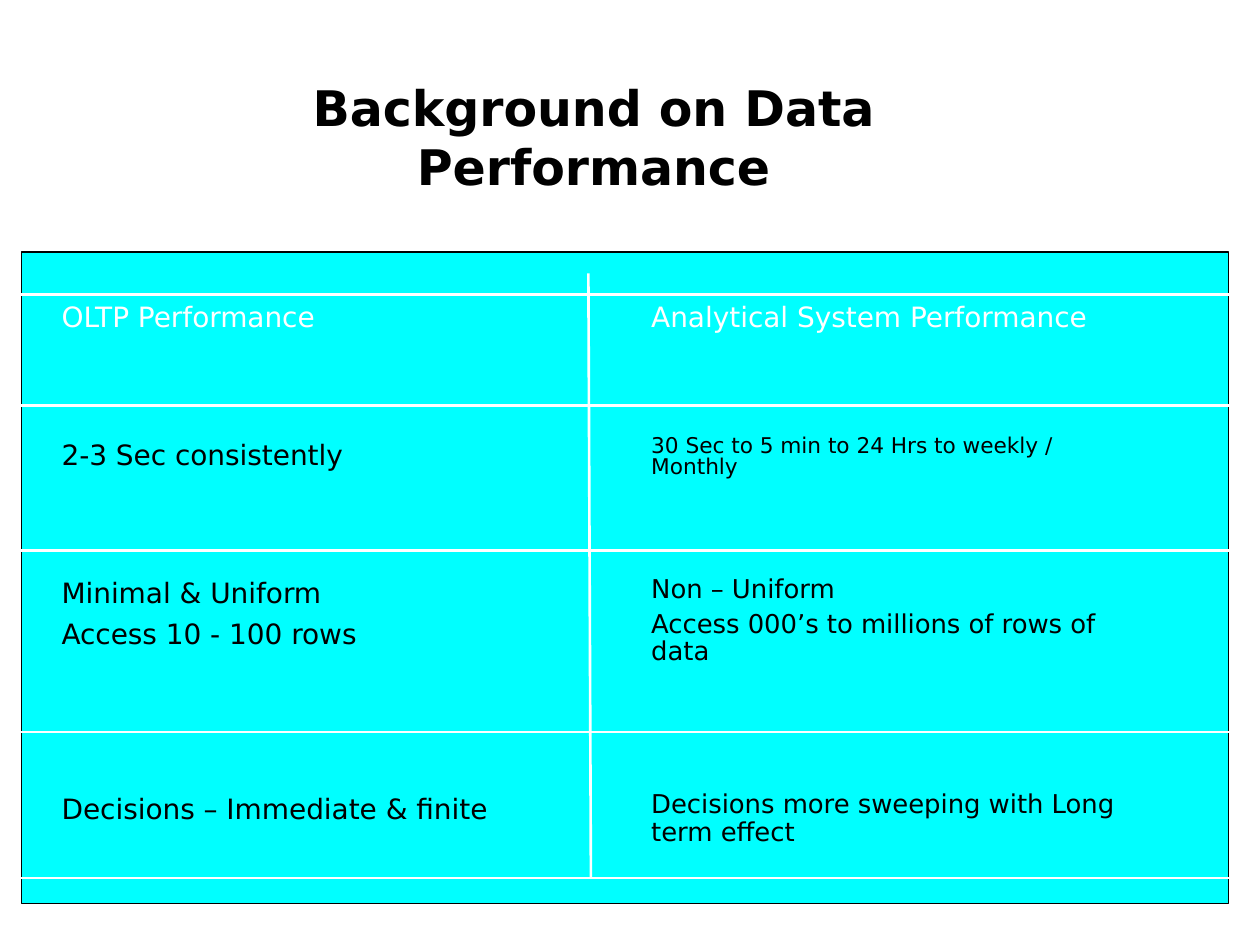
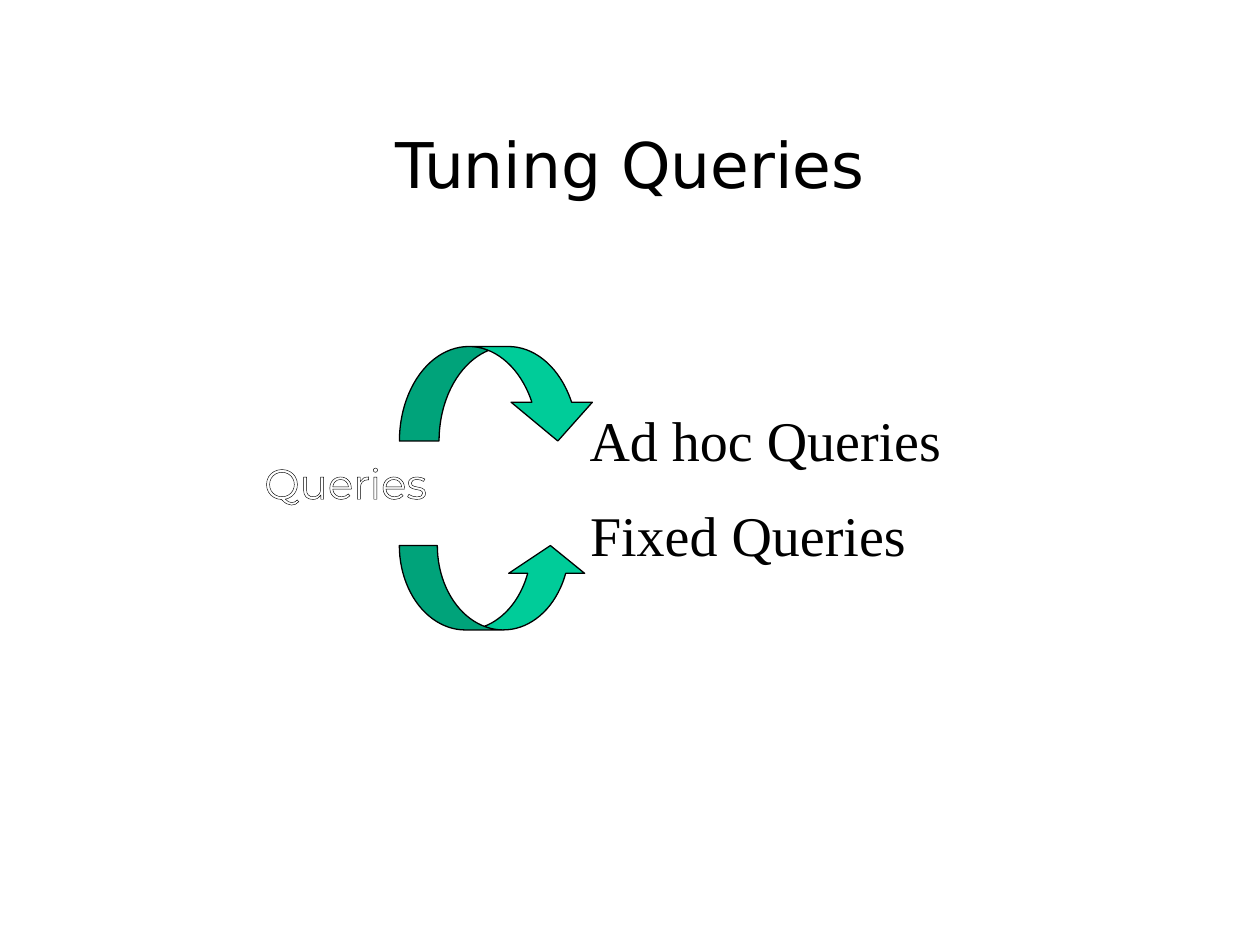
from dataclasses import dataclass

from lxml import etree
from pptx import Presentation
from pptx.dml.color import RGBColor
from pptx.enum.shapes import MSO_CONNECTOR, MSO_SHAPE
from pptx.enum.text import MSO_ANCHOR, MSO_AUTO_SIZE, PP_ALIGN
from pptx.oxml.ns import qn
from pptx.shapes.autoshape import Shape
from pptx.slide import Slide
from pptx.util import Inches, Pt

BLACK = RGBColor(0x00, 0x00, 0x00)
WHITE = RGBColor(0xFF, 0xFF, 0xFF)
CYAN = RGBColor(0x00, 0xFF, 0xFF)
GREEN = RGBColor(0x00, 0xCC, 0x99)

SANS = "DejaVu Sans"
SERIF = "Times New Roman"
DISPLAY = "Montserrat"

RECTANGLE = MSO_SHAPE.RECTANGLE
ARROW_DOWN = MSO_SHAPE.CURVED_DOWN_ARROW
ARROW_UP = MSO_SHAPE.CURVED_UP_ARROW
STRAIGHT = MSO_CONNECTOR.STRAIGHT
LEFT = PP_ALIGN.LEFT
CENTER = PP_ALIGN.CENTER
RIGHT = PP_ALIGN.RIGHT
MIDDLE = MSO_ANCHOR.MIDDLE
NO_FIT = MSO_AUTO_SIZE.NONE

TITLE_ONLY_LAYOUT = 5
PAGE_WIDTH = 10
COLUMN_LEFTS = (0.39, 5.07)
COLUMN_WIDTH = 4.01
RULE_HEIGHTS = (2.34, 3.22, 4.37, 5.81, 6.97)


@dataclass(frozen=True)
class Area:
    left: float
    top: float
    width: float
    height: float

    def lengths(self) -> tuple[int, int, int, int]:
        return (Inches(self.left), Inches(self.top),
                Inches(self.width), Inches(self.height))


@dataclass(frozen=True)
class TextStyle:
    size: float
    font: str = SANS
    color: RGBColor = BLACK
    bold: bool = False
    align: PP_ALIGN = LEFT
    line_spacing: float = 1.0


@dataclass(frozen=True)
class Cell:
    text: str
    style: TextStyle


@dataclass(frozen=True)
class ComparisonRow:
    top: float
    height: float
    cells: tuple[Cell, Cell]


@dataclass(frozen=True)
class CurvedArrow:
    preset: MSO_SHAPE
    area: Area
    adjustments: tuple[float, float, float]


HEADING = TextStyle(16, color=WHITE)
REGULAR = TextStyle(16)
COMPACT = TextStyle(14.8, line_spacing=0.9)
TIGHT = TextStyle(12.4, line_spacing=0.8)
QUERY_KIND = TextStyle(32, font=SERIF, align=RIGHT)

ROWS = (
    ComparisonRow(2.33, 0.52, (
        Cell("OLTP Performance", HEADING),
        Cell("Analytical System Performance", HEADING))),
    ComparisonRow(3.42, 0.52, (
        Cell("2-3 Sec consistently", REGULAR),
        Cell("30 Sec to 5 min to 24 Hrs to weekly / Monthly", TIGHT))),
    ComparisonRow(4.52, 0.81, (
        Cell("Minimal & Uniform\nAccess 10 - 100 rows", REGULAR),
        Cell("Non – Uniform\nAccess 000’s to millions of rows of data", COMPACT))),
    ComparisonRow(6.23, 0.6, (
        Cell("Decisions – Immediate & finite", REGULAR),
        Cell("Decisions more sweeping with Long term effect", COMPACT))),
)

ARROWS = (
    CurvedArrow(ARROW_UP, Area(3.17, 4.33, 1.5, 0.67), (0.45, 0.9, 0.33)),
    CurvedArrow(ARROW_DOWN, Area(3.17, 2.75, 1.58, 0.75), (0.42, 0.86, 0.41)),
)


def write_text(box: Shape, text: str, style: TextStyle) -> None:
    box.text_frame.text = text
    for index, para in enumerate(box.text_frame.paragraphs):
        para.alignment = style.align
        para.line_spacing = style.line_spacing
        para.space_before = Pt(4 if index else 0)
        for span in para.runs:
            span.font.name = style.font
            span.font.size = Pt(style.size)
            span.font.bold = style.bold
            span.font.color.rgb = style.color


def add_page(deck: Presentation, title: str, area: Area, style: TextStyle) -> Slide:
    page = deck.slides.add_slide(deck.slide_layouts[TITLE_ONLY_LAYOUT])
    box = page.shapes.title
    box.left, box.top, box.width, box.height = area.lengths()
    box.text_frame.vertical_anchor = MIDDLE
    box.text_frame.auto_size = NO_FIT
    write_text(box, title, style)
    return page


def add_text(page: Slide, text: str, area: Area, style: TextStyle,
             wrap: bool = True) -> Shape:
    box = page.shapes.add_textbox(*area.lengths())
    box.text_frame.word_wrap = wrap
    write_text(box, text, style)
    return box


def add_filled_shape(page: Slide, preset: MSO_SHAPE, area: Area,
                     color: RGBColor) -> Shape:
    shape = page.shapes.add_shape(preset, *area.lengths())
    shape.shadow.inherit = False
    shape.fill.solid()
    shape.fill.fore_color.rgb = color
    shape.line.color.rgb = BLACK
    shape.line.width = Pt(0.75)
    return shape


def add_rule(page: Slide, start: tuple[float, float], end: tuple[float, float]) -> None:
    rule = page.shapes.add_connector(
        STRAIGHT, *(Inches(value) for value in start + end))
    rule.line.color.rgb = WHITE
    rule.line.width = Pt(1.5)
    etree.SubElement(rule.element.spPr, qn("a:effectLst"))


def outline_text(box: Shape, color: RGBColor) -> None:
    for para in box.text_frame.paragraphs:
        for span in para.runs:
            outline = etree.Element(qn("a:ln"), w=str(Pt(0.75)))
            fill = etree.SubElement(outline, qn("a:solidFill"))
            etree.SubElement(fill, qn("a:srgbClr"), val=str(color))
            span.font._element.insert(0, outline)


def build_performance_page(deck: Presentation) -> None:
    page = add_page(deck, "Background on Data Performance",
                    Area(0.92, 0.83, 7.58, 0.5),
                    TextStyle(28, bold=True, align=CENTER))
    add_filled_shape(page, RECTANGLE, Area(0.17, 2, 9.58, 5.17), CYAN)
    for row in ROWS:
        for left, cell in zip(COLUMN_LEFTS, row.cells):
            area = Area(left, row.top, COLUMN_WIDTH, row.height)
            add_text(page, cell.text, area, cell.style)
    for height in RULE_HEIGHTS:
        add_rule(page, (0, height), (PAGE_WIDTH, height))
    add_rule(page, (4.69, 6.97), (4.67, 2.17))


def build_queries_page(deck: Presentation) -> None:
    page = add_page(deck, "Tuning Queries", Area(0.75, 0.67, 8.5, 1.25),
                    TextStyle(36, align=CENTER))
    add_text(page, "Fixed Queries", Area(4.58, 3.92, 2.71, 0.64), QUERY_KIND, wrap=False)
    add_text(page, "Ad hoc Queries", Area(4.58, 3.17, 2.99, 0.64), QUERY_KIND, wrap=False)
    queries = add_text(page, "Queries", Area(2, 3.58, 1.6, 0.6),
                       TextStyle(24, font=DISPLAY, color=WHITE))
    outline_text(queries, BLACK)
    for arrow in ARROWS:
        shape = add_filled_shape(page, arrow.preset, arrow.area, GREEN)
        for index, value in enumerate(arrow.adjustments):
            shape.adjustments[index] = value


def main() -> None:
    deck = Presentation()
    deck.slide_width = Inches(PAGE_WIDTH)
    deck.slide_height = Inches(7.5)
    build_performance_page(deck)
    build_queries_page(deck)
    deck.save("out.pptx")


if __name__ == "__main__":
    main()
